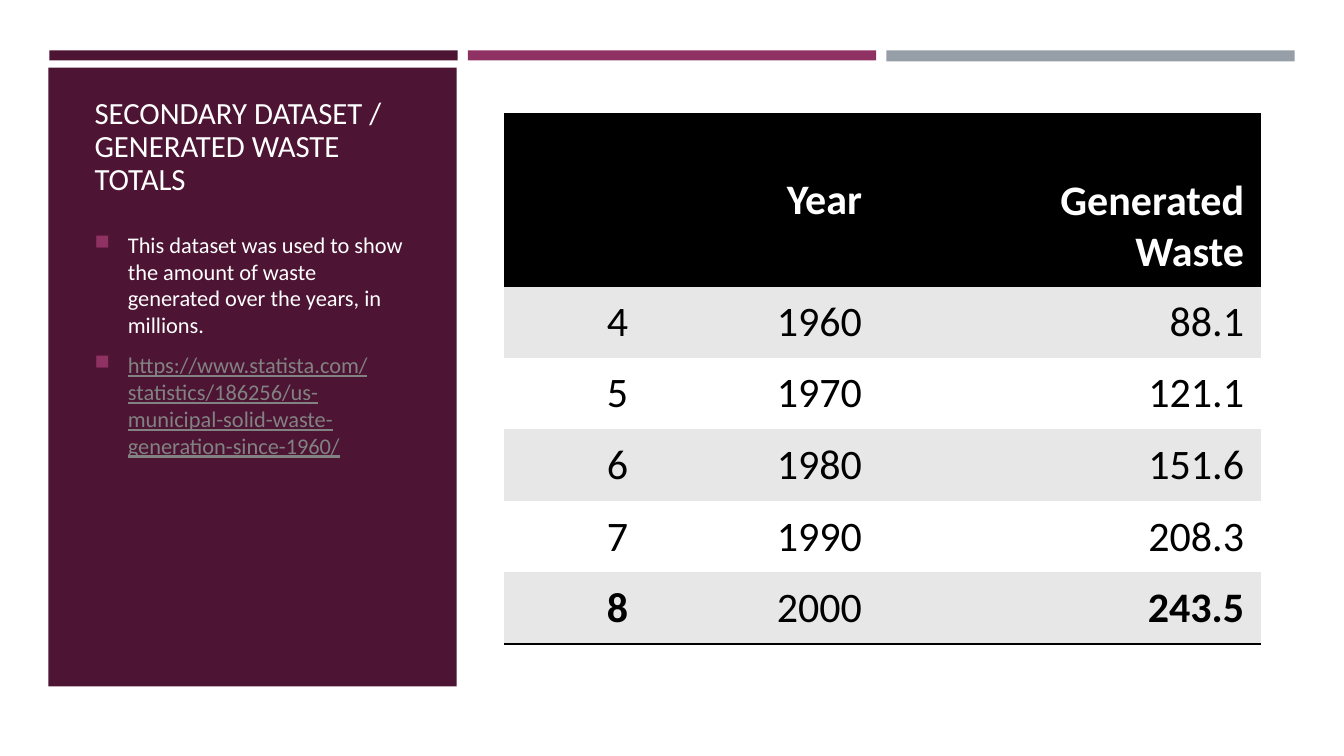
from lxml import etree
from pptx import Presentation
from pptx.dml.color import RGBColor
from pptx.enum.shapes import MSO_SHAPE
from pptx.enum.text import MSO_ANCHOR, PP_ALIGN
from pptx.oxml.ns import qn
from pptx.util import Inches, Pt

COLORS = {
    "white": "FFFFFF",
    "black": "000000",
    "plum": "4D1434",
    "magenta": "903163",
    "steel": "969FA7",
    "link": "828282",
    "band": "E7E7E7",
}
NO_STYLE_NO_GRID = "{2D5ABB26-0587-4C30-8999-92F81FD0307C}"


def add_run(para, text, size, color, bold=False, underline=False):
    span = para.add_run()
    span.text = text
    span.font.name = "Calibri"
    span.font.size = Pt(size)
    span.font.bold = bold
    span.font.underline = underline
    span.font.color.rgb = RGBColor.from_string(COLORS[color])


def add_border(cell, side):
    """Draw a 2 pt black line on one side of a cell, 'T' or 'B'."""
    line = etree.SubElement(cell._tc.get_or_add_tcPr(), qn(f"a:ln{side}"), w=str(Pt(2)))
    fill = etree.SubElement(line, qn("a:solidFill"))
    etree.SubElement(fill, qn("a:srgbClr"), val=COLORS["black"])


deck = Presentation()
deck.slide_width, deck.slide_height = Inches(13.33), Inches(7.5)
page = deck.slides.add_slide(deck.slide_layouts[6])
page.background.fill.solid()
page.background.fill.fore_color.rgb = RGBColor.from_string(COLORS["white"])

# Side panel and the three bars along the top
panels = [
    (0.48, 0.67, 6.14, "plum"),
    (0.49, 0.5, 0.1, "plum"),
    (4.64, 0.5, 0.1, "magenta"),
    (8.79, 0.5, 0.11, "steel"),
]
for left, top, height, color in panels:
    panel = page.shapes.add_shape(
        MSO_SHAPE.RECTANGLE, Inches(left), Inches(top), Inches(4.05), Inches(height))
    panel.shadow.inherit = False
    panel.fill.solid()
    panel.fill.fore_color.rgb = RGBColor.from_string(COLORS[color])
    panel.line.fill.background()

# Title
title_box = page.shapes.add_textbox(Inches(0.84), Inches(0.9), Inches(3.47), Inches(1.11))
title_box.text_frame.word_wrap = True
title_box.text_frame.vertical_anchor = MSO_ANCHOR.BOTTOM
title = title_box.text_frame.paragraphs[0]
title.line_spacing = 0.9
add_run(title, "SECONDARY DATASET / GENERATED WASTE TOTALS", 22, "white")

# Bulleted notes
notes_box = page.shapes.add_textbox(Inches(0.84), Inches(2.24), Inches(3.32), Inches(4.22))
notes = notes_box.text_frame
notes.word_wrap = True
bullets = [
    ("This dataset was used to show the amount of waste generated over the years, in millions.",
     "white", False),
    ("https://www.statista.com/statistics/186256/us-municipal-solid-waste-generation-since-1960/",
     "link", True),
]
for index, (text, color, underline) in enumerate(bullets):
    para = notes.add_paragraph() if index else notes.paragraphs[0]
    para.space_before = Pt(3.2 if index else 0)
    para.space_after = Pt(6)
    properties = para._p.get_or_add_pPr()
    properties.set("marL", str(Inches(0.33)))
    properties.set("indent", str(Inches(-0.33)))
    bullet_color = etree.SubElement(properties, qn("a:buClr"))
    etree.SubElement(bullet_color, qn("a:srgbClr"), val=COLORS["magenta"])
    etree.SubElement(properties, qn("a:buSzPct"), val="92000")
    etree.SubElement(properties, qn("a:buChar"), char="■")
    add_run(para, text, 16, color, underline=underline)

# Waste table
rows = [
    ("", "Year", "Generated\nWaste"),
    ("4", "1960", "88.1"),
    ("5", "1970", "121.1"),
    ("6", "1980", "151.6"),
    ("7", "1990", "208.3"),
    ("8", "2000", "243.5"),
]
bold_values = {"8", "243.5"}
last_row = len(rows) - 1
frame = page.shapes.add_table(
    len(rows), 3, Inches(5), Inches(1.13), Inches(7.51), Inches(5.24))
table = frame.table
table._tbl.tblPr.find(qn("a:tableStyleId")).text = NO_STYLE_NO_GRID
for column, width in zip(table.columns, (1.4, 2.32, 3.79)):
    column.width = Inches(width)

for row_index, values in enumerate(rows):
    header = row_index == 0
    table.rows[row_index].height = Inches(1.71 if header else 0.71)
    fill_color = "black" if header else "band" if row_index % 2 else "white"
    for column_index, value in enumerate(values):
        cell = table.cell(row_index, column_index)
        cell.margin_left = cell.margin_right = Inches(0.17)
        cell.margin_top = cell.margin_bottom = Inches(0.08)
        two_lines = "\n" in value
        cell.vertical_anchor = MSO_ANCHOR.BOTTOM if two_lines else MSO_ANCHOR.MIDDLE
        if header:
            add_border(cell, "T")
        if row_index in (0, last_row):
            add_border(cell, "B")
        cell.fill.solid()
        cell.fill.fore_color.rgb = RGBColor.from_string(COLORS[fill_color])
        if not value:
            continue
        for line_index, text in enumerate(value.split("\n")):
            lines = cell.text_frame
            para = lines.add_paragraph() if line_index else lines.paragraphs[0]
            para.alignment = PP_ALIGN.RIGHT
            add_run(para, text, 30, "white" if header else "black",
                    bold=header or value in bold_values)

deck.save("out.pptx")
